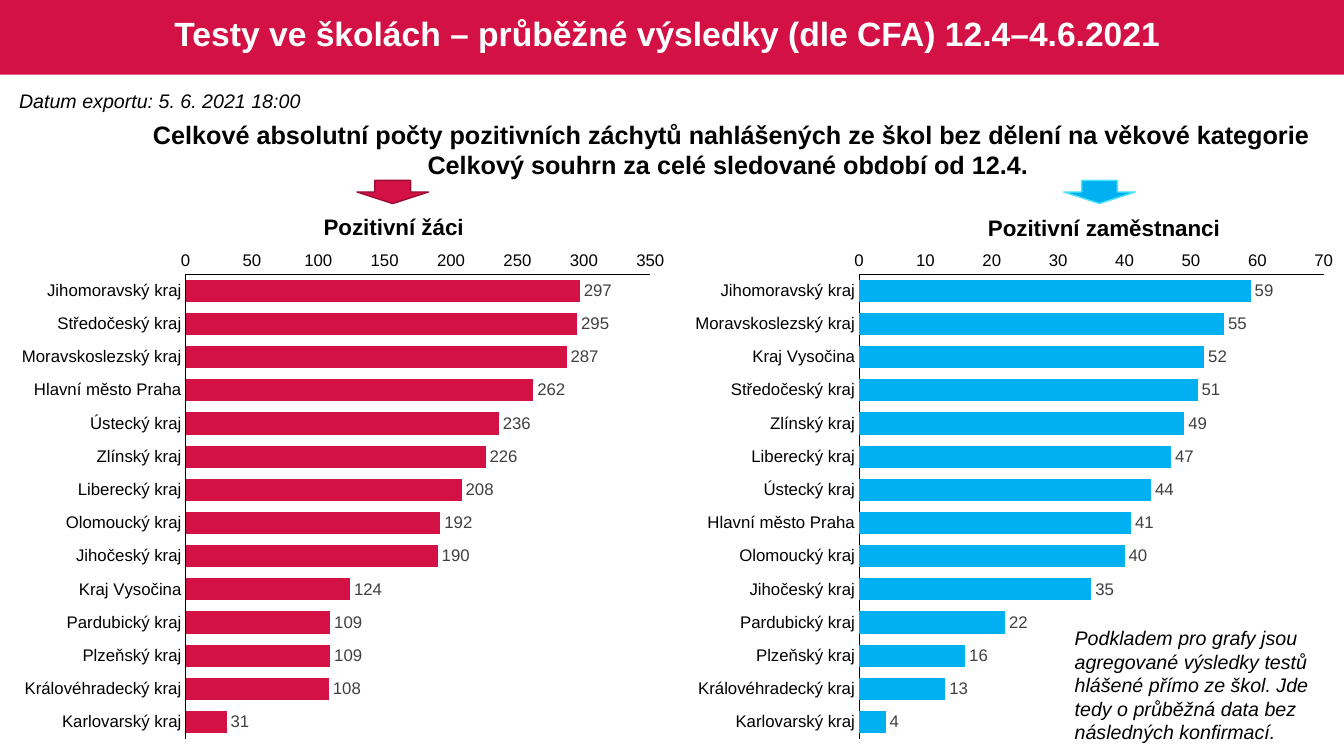
"""Build the slide with school test results by region."""
import dataclasses

import lxml.etree
import pptx
import pptx.chart.data
import pptx.dml.color
import pptx.enum.chart
import pptx.enum.shapes
import pptx.enum.text
import pptx.oxml.ns
import pptx.util

Inches = pptx.util.Inches
Pt = pptx.util.Pt
Rgb = pptx.dml.color.RGBColor.from_string
Align = pptx.enum.text.PP_ALIGN
Shape = pptx.enum.shapes.MSO_SHAPE


@dataclasses.dataclass(frozen=True)
class Theme:
    """Colours, font and type sizes of the slide."""
    red: str = "D31145"
    wine: str = "9C0D33"
    blue: str = "00B0F0"
    cyan: str = "4DE5F5"
    black: str = "000000"
    grey: str = "404040"
    white: str = "FFFFFF"
    font: str = "Arial"
    title: int = 24
    lead: int = 18
    head: int = 16
    note: int = 14
    label: int = 12


THEME = Theme()

PUPILS = {
    "Jihomoravský kraj": 297, "Středočeský kraj": 295,
    "Moravskoslezský kraj": 287, "Hlavní město Praha": 262,
    "Ústecký kraj": 236, "Zlínský kraj": 226, "Liberecký kraj": 208,
    "Olomoucký kraj": 192, "Jihočeský kraj": 190, "Kraj Vysočina": 124,
    "Pardubický kraj": 109, "Plzeňský kraj": 109,
    "Královéhradecký kraj": 108, "Karlovarský kraj": 31,
}
STAFF = {
    "Jihomoravský kraj": 59, "Moravskoslezský kraj": 55,
    "Kraj Vysočina": 52, "Středočeský kraj": 51, "Zlínský kraj": 49,
    "Liberecký kraj": 47, "Ústecký kraj": 44, "Hlavní město Praha": 41,
    "Olomoucký kraj": 40, "Jihočeský kraj": 35, "Pardubický kraj": 22,
    "Plzeňský kraj": 16, "Královéhradecký kraj": 13,
    "Karlovarský kraj": 4,
}


def assign(item, values):
    """Set each attribute of the item from a dict."""
    for name, value in values.items():
        setattr(item, name, value)


def style(font, size, color=THEME.black, **more):
    """Format a font."""
    assign(font, {"name": THEME.font, "size": Pt(size), **more})
    font.color.rgb = Rgb(color)


def box(at):
    """Turn four numbers into lengths."""
    return [Inches(n) for n in at]


def add_text(slide, at, lines, size, align=Align.LEFT, wrap=False, **more):
    """Add a text box with one paragraph per line."""
    frame = slide.shapes.add_textbox(*box(at)).text_frame
    assign(frame, {
        "text": "\n".join(lines),
        "word_wrap": wrap,
        "auto_size": pptx.enum.text.MSO_AUTO_SIZE.SHAPE_TO_FIT_TEXT,
    })
    for para in frame.paragraphs:
        para.alignment = align
        style(para.font, size, **more)


def add_shape(slide, kind, at, fill, line=None):
    """Add a filled preset shape."""
    shape = slide.shapes.add_shape(kind, *box(at))
    shape.shadow.inherit = False
    shape.fill.solid()
    shape.fill.fore_color.rgb = Rgb(fill)
    if line:
        shape.line.color.rgb = Rgb(line)
        shape.line.width = Pt(1)
    else:
        shape.line.fill.background()
    return shape


def add_title(slide, text):
    """Place the title on a red band."""
    band = add_shape(slide, Shape.RECTANGLE, (0, 0, 13.33, 0.74), THEME.red)
    title = slide.shapes.title
    title._element.addprevious(band._element)
    left, top, width, height = box((0.18, 0.04, 12.97, 0.63))
    assign(title, {"left": left, "top": top, "width": width, "height": height})
    frame = title.text_frame
    assign(frame, {
        "text": text,
        "vertical_anchor": pptx.enum.text.MSO_ANCHOR.MIDDLE,
    })
    para = frame.paragraphs[0]
    assign(para, {"alignment": Align.CENTER, "line_spacing": 0.9})
    style(para.font, THEME.title, THEME.white, bold=True)


def fix_plot(chart, size, inner):
    """Pin the inner plot area, given in inches within the chart."""
    area = chart._chartSpace.chart.plotArea
    tag = pptx.oxml.ns.qn
    for old in area.findall(tag("c:layout")):
        area.remove(old)
    layout = lxml.etree.Element(tag("c:layout"))
    manual = lxml.etree.SubElement(layout, tag("c:manualLayout"))
    left, top, width, height = inner
    rules = {
        "layoutTarget": "inner", "xMode": "edge", "yMode": "edge",
        "x": left / size[0], "y": top / size[1],
        "w": width / size[0], "h": height / size[1],
    }
    for name, value in rules.items():
        lxml.etree.SubElement(manual, tag("c:" + name), val=str(value))
    area.insert(0, layout)


def add_bars(slide, at, data, color, top, step):
    """Add a bar chart of regions, largest first."""
    source = pptx.chart.data.CategoryChartData()
    source.categories = list(data)
    source.add_series("Series 1", list(data.values()))
    kind = pptx.enum.chart.XL_CHART_TYPE.BAR_CLUSTERED
    chart = slide.shapes.add_chart(kind, *box(at), source).chart
    assign(chart, {"has_legend": False, "has_title": False})
    style(chart.font, THEME.label)
    none = pptx.enum.chart.XL_TICK_MARK.NONE
    for axis in (chart.category_axis, chart.value_axis):
        assign(axis, {
            "major_tick_mark": none, "minor_tick_mark": none,
            "has_major_gridlines": False,
        })
        style(axis.tick_labels.font, THEME.label)
        axis.format.line.color.rgb = Rgb(THEME.black)
        axis.format.line.width = Pt(0.75)
    chart.category_axis.reverse_order = True
    assign(chart.value_axis, {
        "minimum_scale": 0, "maximum_scale": top, "major_unit": step,
    })
    plot = chart.plots[0]
    assign(plot, {
        "gap_width": 50, "vary_by_categories": False, "has_data_labels": True,
    })
    assign(plot.data_labels, {
        "show_value": True,
        "position": pptx.enum.chart.XL_LABEL_POSITION.OUTSIDE_END,
    })
    style(plot.data_labels.font, THEME.label, THEME.grey)
    fill = plot.series[0].format.fill
    fill.solid()
    fill.fore_color.rgb = Rgb(color)
    fix_plot(chart, at[2:], (1.75, 0.31, 4.61, 4.61))


def main():
    """Build and save the slide."""
    deck = pptx.Presentation()
    assign(deck, {"slide_width": Inches(13.33), "slide_height": Inches(7.5)})
    slide = deck.slides.add_slide(deck.slide_layouts[5])
    add_title(slide, "Testy ve školách – průběžné výsledky (dle CFA) 12.4–4.6.2021 ")
    add_bars(slide, (0.09, 2.41, 6.61, 5.03), PUPILS, THEME.red, 350, 50)
    add_bars(slide, (6.77, 2.41, 6.61, 5.03), STAFF, THEME.blue, 70, 10)
    for at, text in (
        ((3.1, 2.07, 1.61, 0.37), "Pozitivní žáci"),
        ((9.68, 2.08, 2.54, 0.37), "Pozitivní zaměstnanci"),
    ):
        add_text(slide, at, [text], THEME.head, Align.CENTER, bold=True)
    add_text(slide, (0.09, 0.83, 3.12, 0.34),
             ["Datum exportu: 5. 6. 2021 18:00"], THEME.note, italic=True)
    add_text(slide, (1.36, 1.13, 11.79, 0.71), [
        "Celkové absolutní počty pozitivních záchytů nahlášených ze škol bez dělení na věkové kategorie",
        "Celkový souhrn za celé sledované období od 12.4. ",
    ], THEME.lead, Align.CENTER, bold=True)
    for left, fill, line in (
        (3.54, THEME.red, THEME.wine), (10.55, THEME.blue, THEME.cyan),
    ):
        add_shape(slide, Shape.DOWN_ARROW, (left, 1.79, 0.71, 0.23), fill, line)
    add_text(slide, (10.56, 6.16, 2.91, 1.28), [
        "Podkladem pro grafy jsou agregované výsledky testů hlášené přímo ze škol. "
        "Jde tedy o průběžná data bez následných konfirmací."
    ], THEME.note, wrap=True, italic=True)
    deck.save("out.pptx")


if __name__ == "__main__":
    main()
